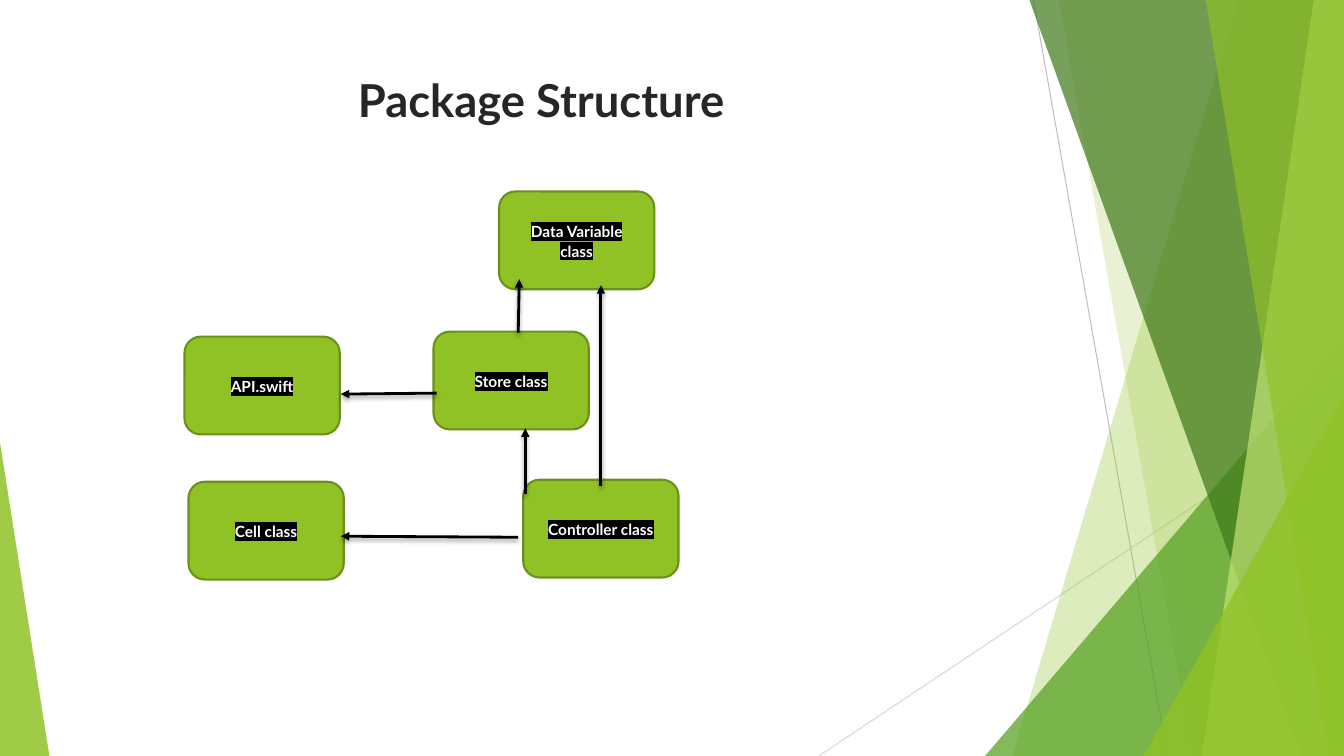
from dataclasses import dataclass

from lxml import etree
from pptx import Presentation
from pptx import util as u
from pptx.dml.color import RGBColor
from pptx.enum import shapes, text
from pptx.oxml import ns

COLORS = {
    "green": "90C226", "mid_green": "54A021", "dark_green": "3F7819",
    "pale_green": "C0E474", "box_line": "6B901C", "title": "262626",
    "white": "FFFFFF", "black": "000000", "gray": "BFBFBF", "light_gray": "D9D9D9",
}
FONT = "Lato"
WIDTH, HEIGHT = 13.33, 7.5
BOX_WIDTH, BOX_HEIGHT = 1.54, 0.97


@dataclass
class Band:
    """Facet running from the top edge to the bottom edge of the slide."""
    top_left: float
    bottom_left: float
    color: str
    opacity: int


@dataclass
class Corner:
    """Right triangle standing on the bottom edge."""
    left: float
    width: float
    height: float
    apex: float
    color: str
    opacity: int


@dataclass
class Line:
    start: tuple[float, float]
    end: tuple[float, float]
    color: str = "black"
    weight: float = 2
    arrow: bool = False


@dataclass
class ClassBox:
    label: str
    left: float
    top: float


RAYS = [
    Line((10.25, 0), (11.58, HEIGHT), "gray", 0.75),
    Line((WIDTH, 4.03), (8.12, HEIGHT), "light_gray", 0.75),
]
FACETS = [
    Band(12.28, 10.04, "green", 30),
    Band(10.5, 11.83, "green", 20),
    Corner(9.77, 3.56, 4.17, 1, "mid_green", 72),
    Band(10.21, 12.91, "dark_green", 70),
    Band(13.03, 11.92, "pale_green", 70),
    Band(11.96, 13.18, "green", 65),
    Corner(11.34, 1.99, 3.57, 1, "green", 80),
    Corner(0, 0.49, 3.11, 0, "green", 85),
]
BOXES = [
    ClassBox("Data Variable class", 4.95, 1.9),
    ClassBox("Store class", 4.3, 3.29),
    ClassBox("Controller class", 5.19, 4.76),
    ClassBox("API.swift", 1.83, 3.34),
    ClassBox("Cell class", 1.87, 4.78),
]
ARROWS = [
    Line((5.14, 3.3), (5.15, 2.77), arrow=True),
    Line((5.96, 4.82), (5.96, 2.83), arrow=True),
    Line((5.21, 4.9), (5.21, 4.25), arrow=True),
    Line((5.14, 5.33), (3.38, 5.32), arrow=True),
    Line((4.33, 3.9), (3.38, 3.91), arrow=True),
]


def rgb(name: str) -> RGBColor:
    return RGBColor.from_string(COLORS[name])


def add_element(parent, tag: str, **attributes):
    element = etree.SubElement(parent, ns.qn(tag))
    for key, value in attributes.items():
        element.set(key, str(value))
    return element


def add_color(parent, name: str, opacity: int = 100) -> None:
    color = add_element(parent, "a:srgbClr", val=COLORS[name])
    add_element(color, "a:alpha", val=opacity * 1000)


def draw_line(slide, line: Line) -> None:
    connector = slide.shapes.add_connector(
        shapes.MSO_CONNECTOR.STRAIGHT, *map(u.Inches, line.start + line.end))
    connector.line.color.rgb = rgb(line.color)
    connector.line.width = u.Pt(line.weight)
    if line.arrow:
        add_element(connector.line._get_or_add_ln(), "a:tailEnd", type="triangle")
    effects = add_element(connector._element.spPr, "a:effectLst")
    if line.arrow:
        shadow = add_element(effects, "a:outerShdw", blurRad=u.Pt(3), dist=u.Pt(2),
                             dir=90 * 60000, rotWithShape=0)
        add_color(shadow, "black", 35)


def draw_facet(slide, facet: Band | Corner) -> None:
    if isinstance(facet, Band):
        points = [(facet.top_left, 0), (WIDTH, 0), (WIDTH, HEIGHT), (facet.bottom_left, HEIGHT)]
        corners = [(u.Inches(x), u.Inches(y)) for x, y in points]
        builder = slide.shapes.build_freeform(*corners[0])
        builder.add_line_segments(corners[1:], close=True)
        shape = builder.convert_to_shape()
    else:
        shape = slide.shapes.add_shape(
            shapes.MSO_SHAPE.ISOSCELES_TRIANGLE, u.Inches(facet.left),
            u.Inches(HEIGHT - facet.height), u.Inches(facet.width), u.Inches(facet.height))
        shape.adjustments[0] = facet.apex
    shape.shadow.inherit = False
    shape.line.fill.background()
    shape.fill.solid()
    shape.fill.fore_color.rgb = rgb(facet.color)
    color = shape._element.spPr.find(ns.qn("a:solidFill"))[0]
    add_element(color, "a:alpha", val=facet.opacity * 1000)


def add_run(paragraph, words: str, size: float, color: str):
    run = paragraph.add_run()
    run.text = words
    run.font.name = FONT
    run.font.size = u.Pt(size)
    run.font.bold = True
    run.font.color.rgb = rgb(color)
    return run


def draw_title(slide) -> None:
    box = slide.shapes.add_textbox(u.Inches(0.74), u.Inches(0.67), u.Inches(9.4), u.Inches(1.44))
    frame = box.text_frame
    frame.word_wrap = True
    frame.margin_left = u.Inches(2.81)
    add_run(frame.paragraphs[0], "Package Structure", 32.4, "title")


def draw_class_box(slide, box: ClassBox) -> None:
    shape = slide.shapes.add_shape(
        shapes.MSO_SHAPE.ROUNDED_RECTANGLE, u.Inches(box.left), u.Inches(box.top),
        u.Inches(BOX_WIDTH), u.Inches(BOX_HEIGHT))
    shape.shadow.inherit = False
    shape.fill.solid()
    shape.fill.fore_color.rgb = rgb("green")
    shape.line.color.rgb = rgb("box_line")
    shape.line.width = u.Pt(1.5)
    frame = shape.text_frame
    frame.word_wrap = True
    frame.vertical_anchor = text.MSO_ANCHOR.MIDDLE
    paragraph = frame.paragraphs[0]
    paragraph.alignment = text.PP_ALIGN.CENTER
    paragraph.line_spacing = 1.07
    paragraph.space_after = u.Pt(8)
    run = add_run(paragraph, box.label, 11, "white")
    # The highlight has to stand before the font name
    properties = run.font._element
    highlight = add_element(properties, "a:highlight")
    add_color(highlight, "black")
    properties.find(ns.qn("a:latin")).addprevious(highlight)


def main() -> None:
    presentation = Presentation()
    presentation.slide_width = u.Inches(WIDTH)
    presentation.slide_height = u.Inches(HEIGHT)
    slide = presentation.slides.add_slide(presentation.slide_layouts[6])

    # Backdrop
    for ray in RAYS:
        draw_line(slide, ray)
    for facet in FACETS:
        draw_facet(slide, facet)

    # Title and class diagram
    draw_title(slide)
    for box in BOXES:
        draw_class_box(slide, box)
    for arrow in ARROWS:
        draw_line(slide, arrow)

    presentation.save("out.pptx")


if __name__ == "__main__":
    main()
